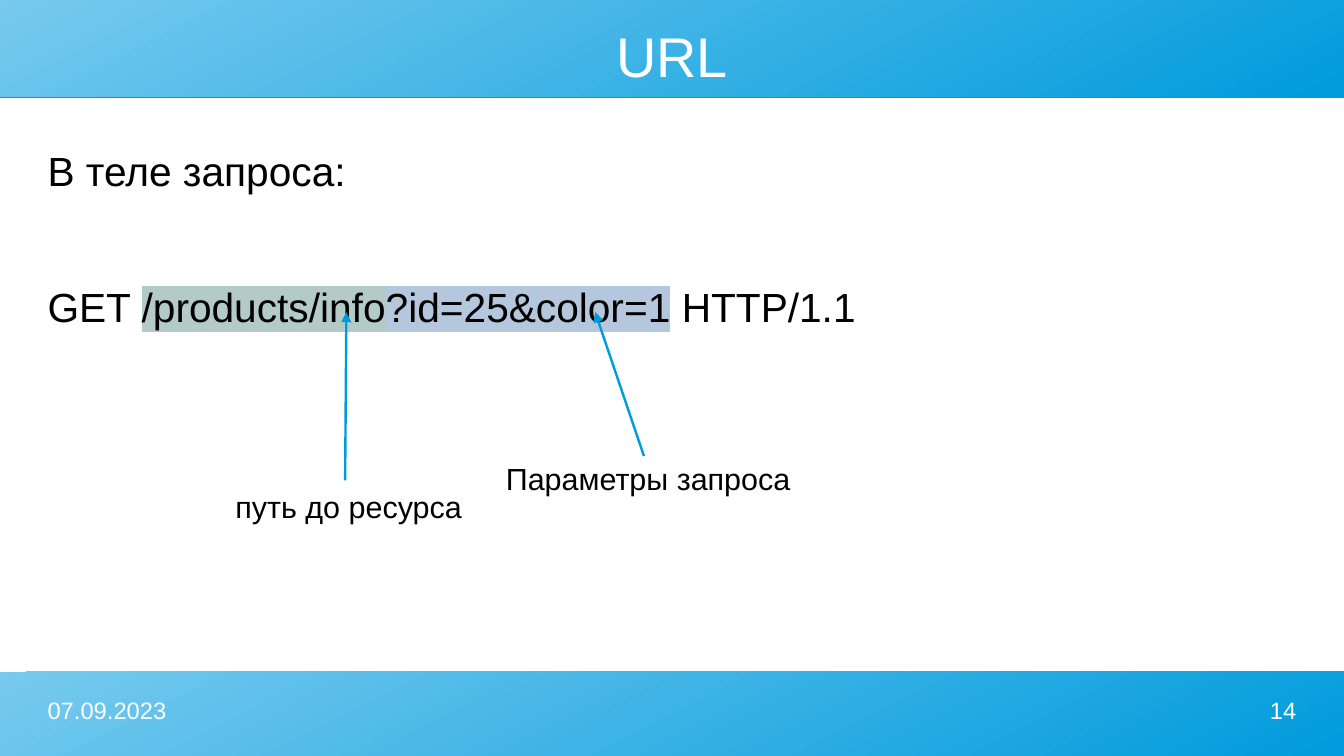
"""Build the slide that explains the parts of a URL in a request."""
import lxml.etree
import pptx
import pptx.dml.color
import pptx.enum.shapes
import pptx.enum.text
import pptx.oxml
import pptx.oxml.ns
import pptx.util

Inches = pptx.util.Inches
Pt = pptx.util.Pt
ALIGN = pptx.enum.text.PP_ALIGN
qn = pptx.oxml.ns.qn
BLUE, LIGHT, WHITE, BLACK = "009BDD", "77CAEE", "FFFFFF", "000000"
WIDTH, HEIGHT = 11.02, 6.2
LEFT, INNER = 0.39, 10.24


def paint(target, value):
    target.rgb = pptx.dml.color.RGBColor.from_string(value)


def style(para, size, color, align=ALIGN.LEFT):
    para.alignment = align
    for run in para.runs:
        run.font.size = Pt(size)
        run.font.name = "Arial"
        run.font.bold = False
        paint(run.font.color, color)


def clear(frame):
    frame.margin_left = frame.margin_right = 0
    frame.margin_top = frame.margin_bottom = 0
    frame.word_wrap = True


def add_band(slide, top, height):
    band = slide.shapes.add_shape(
        pptx.enum.shapes.MSO_SHAPE.RECTANGLE,
        0, Inches(top), Inches(WIDTH), Inches(height))
    band.line.fill.background()
    band.fill.gradient()
    band.fill.gradient_angle = 297
    for stop, color, place in zip(band.fill.gradient_stops, (LIGHT, BLUE), (0, 1)):
        paint(stop.color, color)
        stop.position = place
    band.shadow.inherit = False
    glow = band._element.spPr.find(qn("a:effectLst"))
    shade = lxml.etree.SubElement(
        glow, qn("a:outerShdw"), dist=str(Pt(0.9)), dir="5400000", rotWithShape="0")
    lxml.etree.SubElement(shade, qn("a:srgbClr"), val=BLUE)


def add_title(slide, text):
    title = slide.shapes.title
    title.left, title.top = Inches(LEFT), Inches(0.18)
    title.width, title.height = Inches(INNER), Inches(0.55)
    frame = title.text_frame
    frame.text = text
    clear(frame)
    frame.vertical_anchor = pptx.enum.text.MSO_ANCHOR.MIDDLE
    style(frame.paragraphs[0], 33, WHITE, ALIGN.CENTER)
    slide.shapes._spTree.append(title._element)


def add_box(slide, left, top, width, height):
    box = slide.shapes.add_textbox(
        Inches(left), Inches(top), Inches(width), Inches(height))
    return box.text_frame


def add_foot(slide, left, text, align):
    frame = add_box(slide, left, 5.71, 2.56, 0.39)
    clear(frame)
    frame.text = text
    style(frame.paragraphs[0], 14, WHITE, align)


def mark(run, color):
    light = pptx.oxml.parse_xml(
        f'<a:highlight {pptx.oxml.ns.nsdecls("a")}><a:srgbClr val="{color}"/></a:highlight>')
    run.font._element.find(qn("a:solidFill")).addnext(light)


def add_body(slide, lead, parts):
    frame = add_box(slide, LEFT, 1.2, INNER, 1.75)
    clear(frame)
    frame.text = lead
    style(frame.paragraphs[0], 24, BLACK)
    para = frame.add_paragraph()
    para.space_before = Pt(51.5)
    for text, color in parts:
        para.add_run().text = text
    style(para, 24, BLACK)
    for run, (text, color) in zip(para.runs, parts):
        if color:
            mark(run, color)


def add_arrow(slide, start, end):
    arrow = slide.shapes.add_connector(
        pptx.enum.shapes.MSO_CONNECTOR.STRAIGHT,
        *(Inches(value) for value in start + end))
    paint(arrow.line.color, BLUE)
    arrow.line.width = Pt(1.42)
    lxml.etree.SubElement(arrow.line._ln, qn("a:tailEnd"), type="triangle")
    lxml.etree.SubElement(arrow._element.spPr, qn("a:effectLst"))


def add_label(slide, left, top, width, text):
    frame = add_box(slide, left, top, width, 0.4)
    frame.word_wrap = False
    frame.text = text
    style(frame.paragraphs[0], 18, BLACK, ALIGN.CENTER)


def main():
    deck = pptx.Presentation()
    deck.slide_width, deck.slide_height = Inches(WIDTH), Inches(HEIGHT)
    slide = deck.slides.add_slide(deck.slide_layouts[5])
    add_band(slide, 0, 0.79)
    add_band(slide, 5.51, 0.69)
    add_title(slide, "URL")
    add_foot(slide, LEFT, "07.09.2023", ALIGN.LEFT)
    add_foot(slide, 8.07, "14", ALIGN.RIGHT)
    add_body(slide, "В теле запроса:", [
        ("GET ", None),
        ("/products/info", "B3CAC7"),
        ("?id=25&color=1", "B4C7DC"),
        (" HTTP/1.1", None),
    ])
    add_arrow(slide, (2.83, 3.94), (2.84, 2.56))
    add_arrow(slide, (5.28, 3.74), (4.88, 2.56))
    add_label(slide, 1.83, 3.95, 2.06, "путь до ресурса")
    add_label(slide, 4.05, 3.72, 2.53, "Параметры запроса")
    deck.save("out.pptx")


if __name__ == "__main__":
    main()
